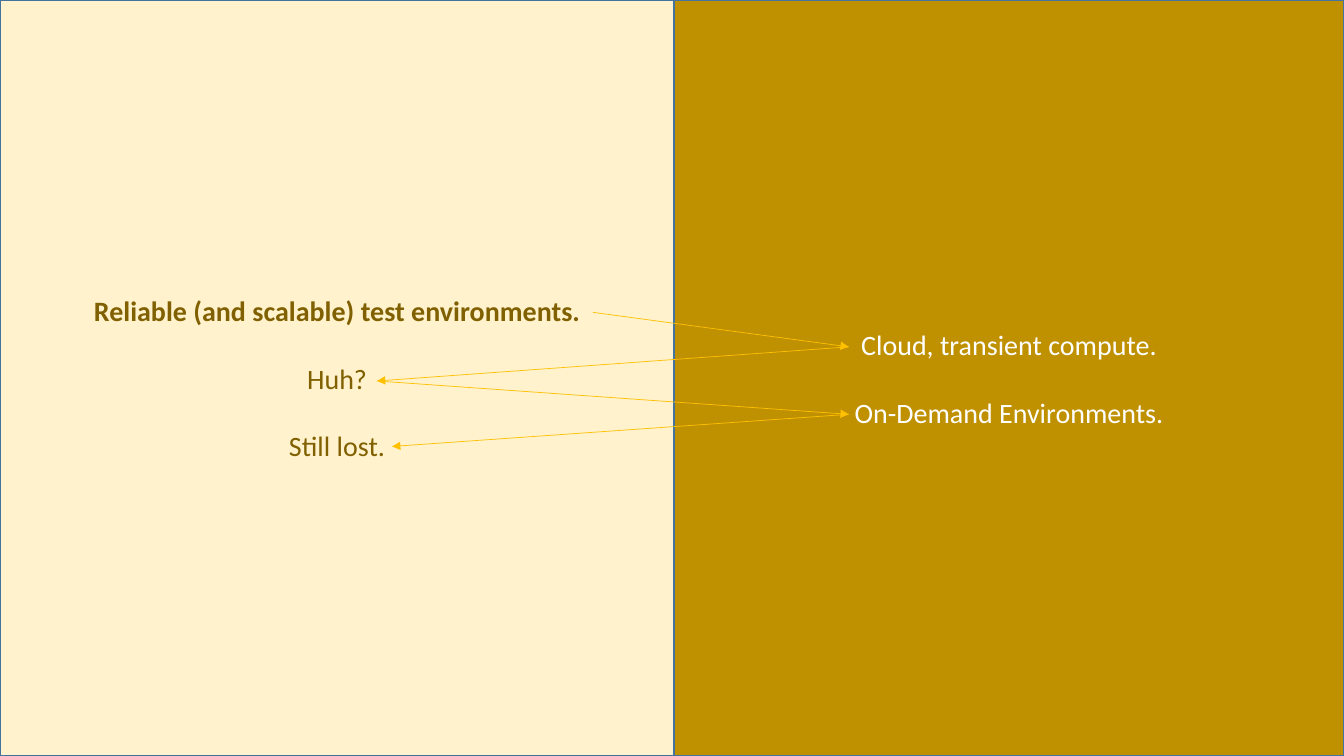
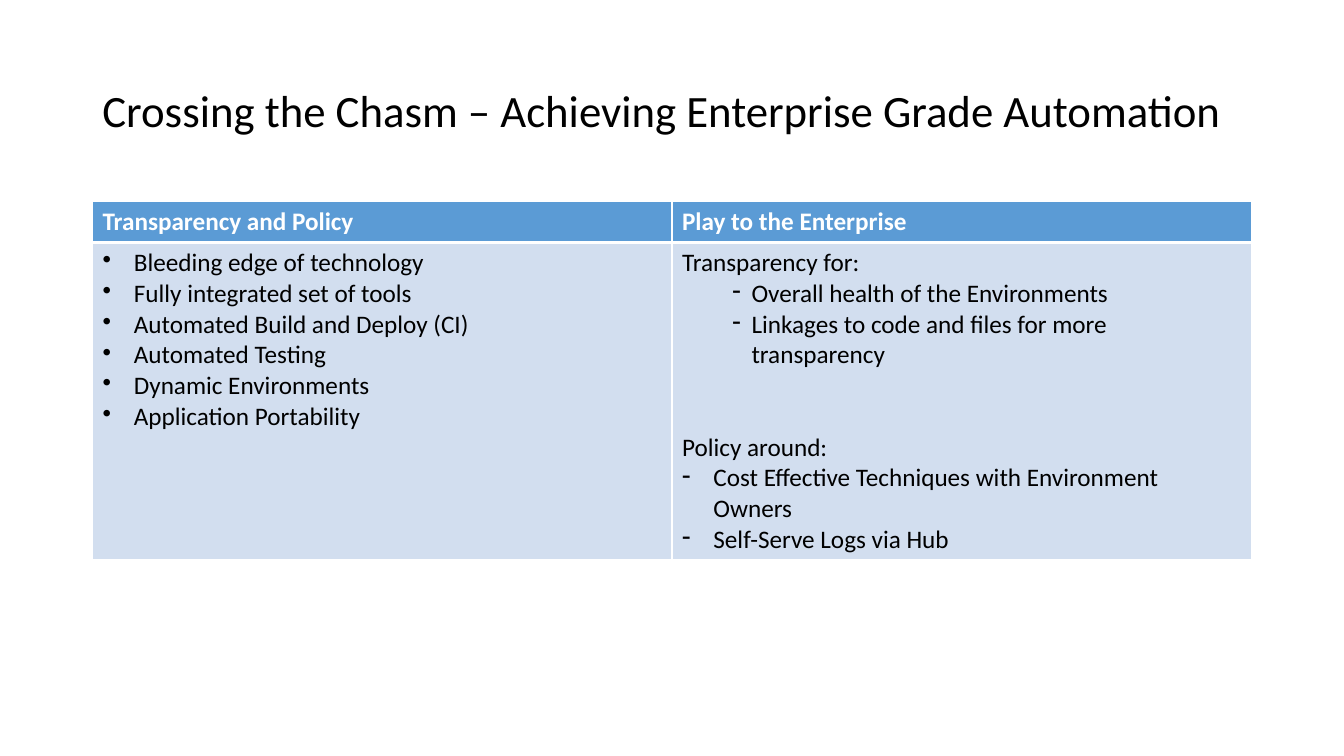
from dataclasses import dataclass
from itertools import pairwise
from lxml.etree import SubElement
from pptx import Presentation
from pptx.dml.color import RGBColor
from pptx.enum.shapes import MSO_CONNECTOR, MSO_SHAPE
from pptx.enum.text import MSO_ANCHOR, PP_ALIGN
from pptx.oxml import parse_xml
from pptx.oxml.ns import nsdecls, qn
from pptx.util import Cm, Pt


@dataclass(frozen=True)
class Theme:
    font: str = "Calibri"
    black: str = "000000"
    white: str = "FFFFFF"
    cream: str = "FFF2CC"
    ochre: str = "BF9000"
    brown: str = "806000"
    outline: str = "43739E"
    arrow: str = "FFC000"
    header: str = "5B9BD5"
    body: str = "D2DEEF"
    title_size: int = 32
    panel_size: int = 20
    table_size: int = 18


T = Theme()
SLIDE_W, SLIDE_H = 33.87, 19.05

SPLIT = 16.99
PANELS = [
    (0, SPLIT, T.cream, T.brown,
     [("Reliable (and scalable) test environments.", True),
      ("Huh?", False), ("Still lost.", False)]),
    (SPLIT, SLIDE_W - SPLIT, T.ochre, T.white,
     [("Cloud, transient compute.", False), ("On-Demand Environments.", False)]),
]
PANEL_GAP = 24.4
ZIGZAG = [(14.94, 7.87), (21.39, 8.74), (9.5, 9.6), (21.39, 10.44), (9.88, 11.25)]

TITLE = "Crossing the Chasm – Achieving Enterprise Grade Automation"
LEFT, WIDTH = 2.33, 29.21
TITLE_TOP, TITLE_H = 1.01, 3.68
TABLE_TOP, ROW_HEIGHTS = 5.08, (1.03, 7.99)
SECTION_GAP = 44
PLAIN, DOT = None, ("•", 0.79, -0.79)
DASH, INNER_DASH = ("-", 0.79, -0.79), ("-", 1.75, -0.48)
COLUMNS = [
    ("Transparency and Policy", [
        ("Bleeding edge of technology", DOT, 0),
        ("Fully integrated set of tools", DOT, 0),
        ("Automated Build and Deploy (CI)", DOT, 0),
        ("Automated Testing", DOT, 0),
        ("Dynamic Environments", DOT, 0),
        ("Application Portability", DOT, 0),
    ]),
    ("Play to the Enterprise", [
        ("Transparency for:", PLAIN, 0),
        ("Overall health of the Environments", INNER_DASH, 0),
        ("Linkages to code and files for more transparency", INNER_DASH, 0),
        ("Policy around:", PLAIN, SECTION_GAP),
        ("Cost Effective Techniques with Environment Owners", DASH, 0),
        ("Self-Serve Logs via Hub", DASH, 0),
    ]),
]


def rgb(color):
    return RGBColor.from_string(color)


def fill(target, color):
    target.fill.solid()
    target.fill.fore_color.rgb = rgb(color)


def write(tf, i, text, size, color, bold=False, before=0):
    p = tf.paragraphs[0] if i == 0 else tf.add_paragraph()
    p.text = text
    p.space_before = Pt(before)
    p.font.name, p.font.size, p.font.bold = T.font, Pt(size), bold
    p.font.color.rgb = rgb(color)
    return p


def add_bullet(p, char, margin, indent):
    pPr = p._p.get_or_add_pPr()
    pPr.set("marL", str(Cm(margin)))
    pPr.set("indent", str(Cm(indent)))
    bullet = parse_xml(f'<a:buChar {nsdecls("a")} char="{char}"/>')
    pPr.find(qn("a:defRPr")).addprevious(bullet)


def add_panel(s, left, width, color, text_color, lines):
    sp = s.shapes.add_shape(MSO_SHAPE.RECTANGLE, Cm(left), 0, Cm(width), Cm(SLIDE_H))
    sp.shadow.inherit = False
    fill(sp, color)
    sp.line.color.rgb = rgb(T.outline)
    sp.line.width = Pt(1)
    tf = sp.text_frame
    tf.vertical_anchor = MSO_ANCHOR.MIDDLE
    for i, (text, bold) in enumerate(lines):
        p = write(tf, i, text, T.panel_size, text_color, bold, PANEL_GAP if i else 0)
        p.alignment = PP_ALIGN.CENTER


def add_arrow(s, start, end):
    ends = [Cm(v) for v in (*start, *end)]
    line = s.shapes.add_connector(MSO_CONNECTOR.STRAIGHT, *ends)
    line.line.color.rgb = rgb(T.arrow)
    line.line.width = Pt(0.5)
    SubElement(line.line._get_or_add_ln(), qn("a:tailEnd"), type="triangle")
    SubElement(line._element.spPr, qn("a:effectLst"))


def add_title(s, text):
    box = s.shapes.add_textbox(Cm(LEFT), Cm(TITLE_TOP), Cm(WIDTH), Cm(TITLE_H))
    tf = box.text_frame
    tf.word_wrap = True
    tf.vertical_anchor = MSO_ANCHOR.MIDDLE
    write(tf, 0, text, T.title_size, T.black).line_spacing = 0.9


def style_cell(cell, color, top, bottom):
    fill(cell, color)
    tcPr = cell._tc.get_or_add_tcPr()
    for i, (side, width) in enumerate(zip("LRTB", (1, 1, top, bottom))):
        tcPr.insert(i, parse_xml(
            f'<a:ln{side} {nsdecls("a")} w="{Pt(width)}"><a:solidFill>'
            f'<a:srgbClr val="{T.white}"/></a:solidFill></a:ln{side}>'))


def add_columns(s):
    table = s.shapes.add_table(len(ROW_HEIGHTS), len(COLUMNS), Cm(LEFT), Cm(TABLE_TOP),
                               Cm(WIDTH), Cm(sum(ROW_HEIGHTS))).table
    for row, height in zip(table.rows, ROW_HEIGHTS):
        row.height = Cm(height)
    for c, (heading, items) in enumerate(COLUMNS):
        head, body = table.cell(0, c), table.cell(1, c)
        style_cell(head, T.header, 1, 3)
        style_cell(body, T.body, 3, 1)
        write(head.text_frame, 0, heading, T.table_size, T.white, True)
        for i, (text, bullet, before) in enumerate(items):
            p = write(body.text_frame, i, text, T.table_size, T.black, before=before)
            if bullet:
                add_bullet(p, *bullet)


prs = Presentation()
prs.slide_width, prs.slide_height = Cm(SLIDE_W), Cm(SLIDE_H)
blank = prs.slide_layouts[6]

s = prs.slides.add_slide(blank)
for panel in PANELS:
    add_panel(s, *panel)
for start, end in pairwise(ZIGZAG):
    add_arrow(s, start, end)

s = prs.slides.add_slide(blank)
add_title(s, TITLE)
add_columns(s)

prs.save("out.pptx")
